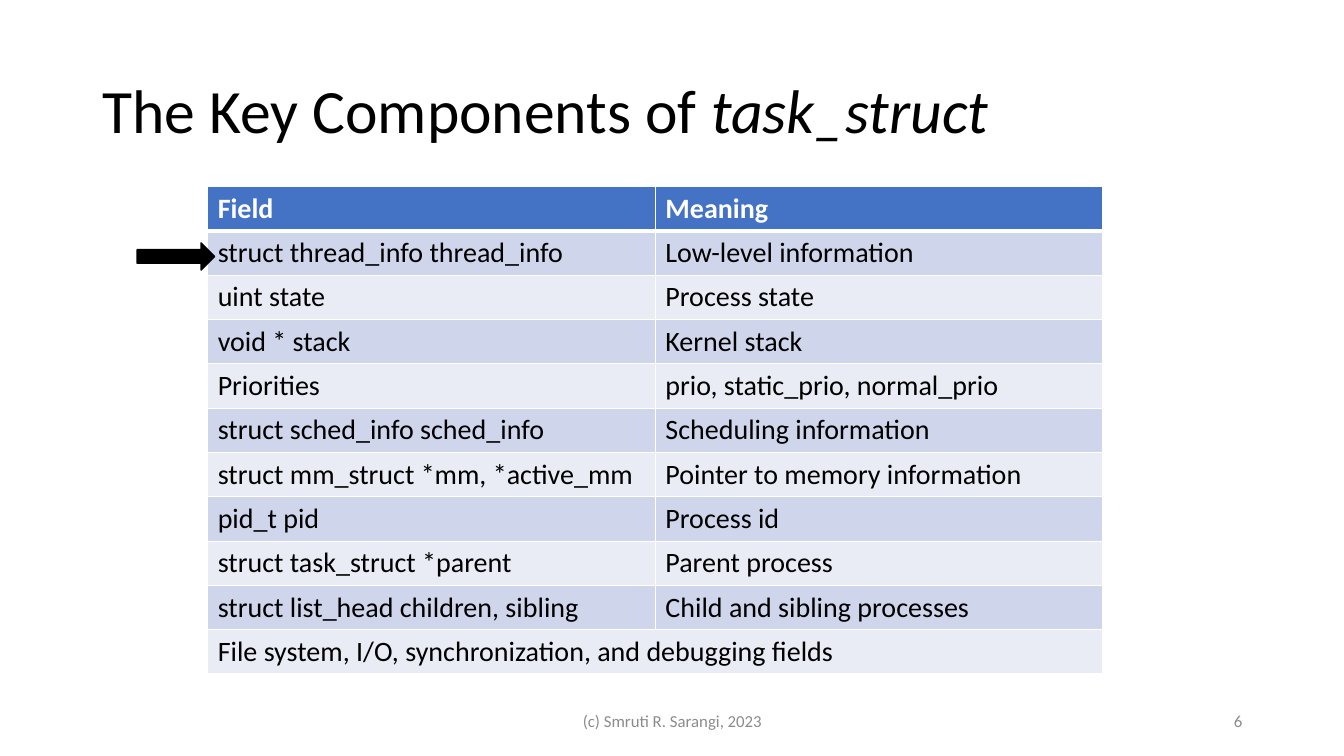
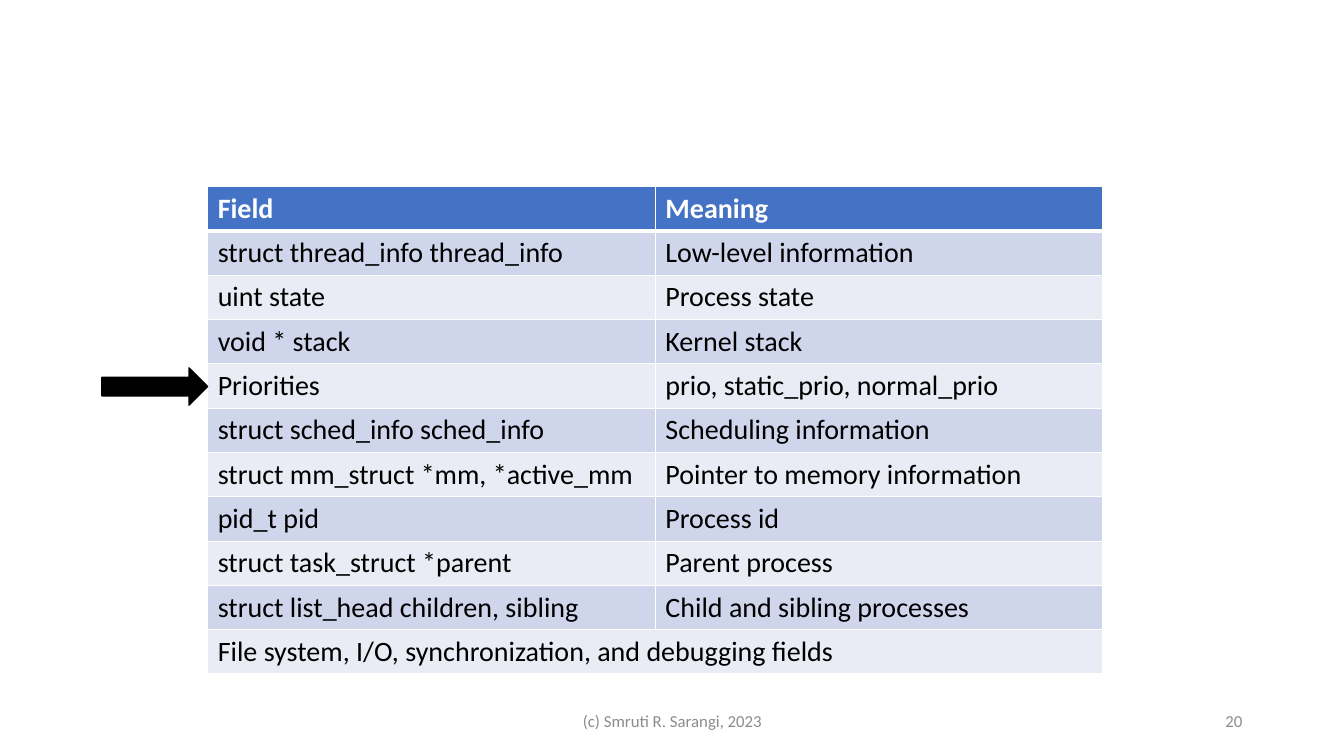
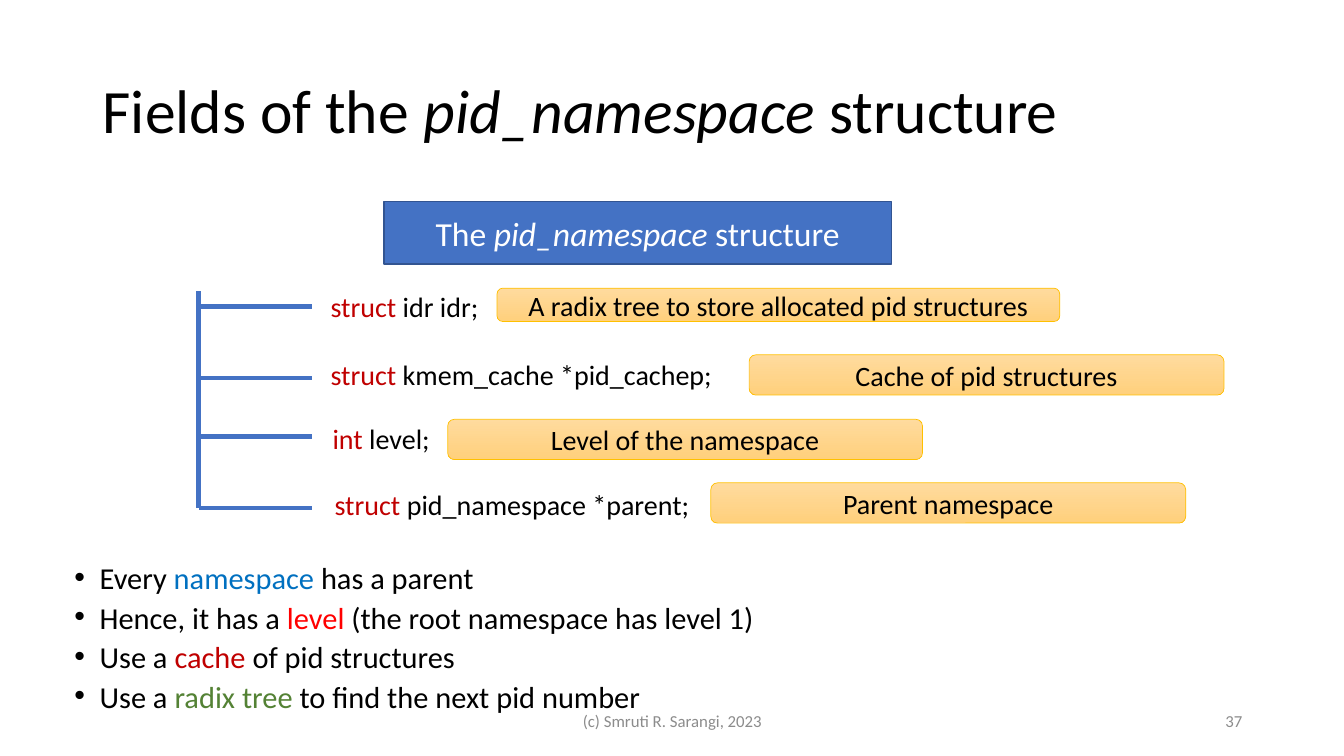
from dataclasses import dataclass

from lxml.etree import SubElement
from pptx import Presentation
from pptx.dml.color import RGBColor
from pptx.enum.shapes import MSO_CONNECTOR, MSO_SHAPE
from pptx.enum.text import MSO_ANCHOR, MSO_AUTO_SIZE, PP_ALIGN
from pptx.oxml import parse_xml
from pptx.oxml.ns import nsdecls, qn
from pptx.util import Inches, Pt

FONT = "Calibri"
BLACK = RGBColor(0x00, 0x00, 0x00)
WHITE = RGBColor(0xFF, 0xFF, 0xFF)
GRAY = RGBColor(0x8C, 0x8C, 0x8C)
BLUE = RGBColor(0x44, 0x72, 0xC4)
DARK_BLUE = RGBColor(0x32, 0x54, 0x91)
BAND_DARK = RGBColor(0xCF, 0xD5, 0xEA)
BAND_LIGHT = RGBColor(0xE9, 0xEB, 0xF5)
NOTE_TOP = RGBColor(0xFF, 0xDB, 0x9E)
NOTE_BOTTOM = RGBColor(0xFF, 0xD0, 0x7C)
GOLD = RGBColor(0xFF, 0xC0, 0x00)
DARK_RED = RGBColor(0xC0, 0x00, 0x00)
RED = RGBColor(0xFF, 0x00, 0x00)
SKY = RGBColor(0x00, 0x70, 0xC0)
GREEN = RGBColor(0x54, 0x82, 0x35)

FOOTER = "(c) Smruti R. Sarangi, 2023"
ROW_HEIGHT = 0.44
TRUNK_X, BRANCH_END = 1.97, 3.09

TASK_FIELDS = [
    ("Field", "Meaning"),
    ("struct thread_info thread_info", "Low-level information"),
    ("uint state", "Process state"),
    ("void * stack", "Kernel stack"),
    ("Priorities", "prio, static_prio, normal_prio"),
    ("struct sched_info sched_info", "Scheduling information"),
    ("struct mm_struct *mm, *active_mm", "Pointer to memory information"),
    ("pid_t pid", "Process id"),
    ("struct task_struct *parent", "Parent process"),
    ("struct list_head children, sibling", "Child and sibling processes"),
    ("File system, I/O, synchronization, and debugging fields", ""),
]


@dataclass
class Span:
    text: str
    color: RGBColor = BLACK
    italic: bool = False
    bold: bool = False


NAMESPACE_FIELDS = [
    (3.04, (3.18, 2.82, 1.75, 0.44), "struct ", "idr idr;",
     (4.93, 2.86, 5.58, 0.33), "A radix tree to store allocated pid structures"),
    (3.75, (3.18, 3.5, 4.09, 0.44), "struct ", "kmem_cache *pid_cachep;",
     (7.43, 3.52, 4.71, 0.4), "Cache of pid structures"),
    (4.33, (3.2, 4.13, 1.24, 0.44), "int ", "level;",
     (4.44, 4.16, 4.71, 0.4), "Level of the namespace"),
    (5.04, (3.22, 4.79, 3.82, 0.44), "struct ", "pid_namespace *parent;",
     (7.05, 4.79, 4.71, 0.4), "Parent namespace"),
]

NAMESPACE_POINTS = [
    [Span("Every "), Span("namespace", SKY), Span(" has a parent")],
    [Span("Hence, it has a "), Span("level", RED), Span(" (the root namespace has level 1)")],
    [Span("Use a "), Span("cache", DARK_RED), Span(" of pid structures")],
    [Span("Use a "), Span("radix tree ", GREEN), Span("to find the next pid number")],
]


def inches(*lengths):
    return [Inches(length) for length in lengths]


def write(paragraph, spans, size, align=PP_ALIGN.LEFT):
    paragraph.alignment = align
    for span in spans:
        run = paragraph.add_run()
        run.text = span.text
        run.font.name = FONT
        run.font.size = Pt(size)
        run.font.color.rgb = span.color
        run.font.italic = span.italic
        run.font.bold = span.bold


def add_text(slide, box, spans, size, align=PP_ALIGN.LEFT, anchor=MSO_ANCHOR.MIDDLE):
    frame = slide.shapes.add_textbox(*inches(*box)).text_frame
    frame.word_wrap = True
    frame.vertical_anchor = anchor
    write(frame.paragraphs[0], spans, size, align)
    return frame


def add_title(slide, spans):
    frame = add_text(slide, (0.92, 0.4, 11.5, 1.45), spans, 44)
    frame.paragraphs[0].line_spacing = 0.9


def add_footer(slide, number):
    add_text(slide, (9.42, 6.95, 3, 0.4), [Span(str(number), GRAY)], 12, PP_ALIGN.RIGHT)
    add_text(slide, (4.42, 6.95, 4.5, 0.4), [Span(FOOTER, GRAY)], 12, PP_ALIGN.CENTER)


def add_block(slide, kind, box, line_color, line_width):
    block = slide.shapes.add_shape(kind, *inches(*box))
    block.shadow.inherit = False
    block.line.color.rgb = line_color
    block.line.width = Pt(line_width)
    return block


def label(block, spans, size):
    block.text_frame.word_wrap = True
    block.text_frame.vertical_anchor = MSO_ANCHOR.MIDDLE
    write(block.text_frame.paragraphs[0], spans, size, PP_ALIGN.CENTER)


def add_pointer(slide, box):
    pointer = add_block(slide, MSO_SHAPE.RIGHT_ARROW, box, BLACK, 1)
    pointer.fill.solid()
    pointer.fill.fore_color.rgb = BLACK


def add_note(slide, box, text):
    note = add_block(slide, MSO_SHAPE.ROUNDED_RECTANGLE, box, GOLD, 0.5)
    note.fill.gradient()
    note.fill.gradient_angle = 270
    for stop, color in zip(note.fill.gradient_stops, (NOTE_TOP, NOTE_BOTTOM)):
        stop.color.rgb = color
    label(note, [Span(text)], 20)


def add_line(slide, *ends):
    line = slide.shapes.add_connector(MSO_CONNECTOR.STRAIGHT, *inches(*ends))
    line.line.color.rgb = BLUE
    line.line.width = Pt(3)
    SubElement(line.element.spPr, qn("a:effectLst"))


def set_borders(cell, top, bottom):
    widths = {"lnL": 1, "lnR": 1, "lnT": top, "lnB": bottom}
    properties = cell._tc.get_or_add_tcPr()
    for position, (side, width) in enumerate(widths.items()):
        properties.insert(position, parse_xml(
            f'<a:{side} {nsdecls("a")} w="{Pt(width)}"><a:solidFill>'
            f'<a:srgbClr val="{WHITE}"/></a:solidFill></a:{side}>'))


def add_task_table(slide):
    count = len(TASK_FIELDS)
    box = (2.06, 1.85, 8.88, ROW_HEIGHT * count)
    table = slide.shapes.add_table(count, 2, *inches(*box)).table
    for index, texts in enumerate(TASK_FIELDS):
        header = index == 0
        band = BLUE if header else BAND_DARK if index % 2 else BAND_LIGHT
        for column, text in enumerate(texts):
            cell = table.cell(index, column)
            cell.fill.solid()
            cell.fill.fore_color.rgb = band
            set_borders(cell, 3 if index == 1 else 1, 3 if header else 1)
            if text:
                span = Span(text, WHITE if header else BLACK, bold=header)
                write(cell.text_frame.paragraphs[0], [span], 20)
    table.cell(count - 1, 0).merge(table.cell(count - 1, 1))


def add_bullets(slide, box, points):
    frame = add_text(slide, box, points[0], 21.7, anchor=MSO_ANCHOR.TOP)
    for point in points[1:]:
        write(frame.add_paragraph(), point, 21.7)
    for paragraph in frame.paragraphs:
        paragraph.line_spacing = 0.7
        paragraph.space_before = Pt(10)
        properties = paragraph._p.get_or_add_pPr()
        properties.set("marL", str(Inches(0.25)))
        properties.set("indent", str(-Inches(0.25)))
        SubElement(properties, qn("a:buFont"), typeface="Arial")
        SubElement(properties, qn("a:buChar"), char="•")


def add_namespace_fields(slide):
    add_line(slide, TRUNK_X, 2.89, TRUNK_X, 5.04)
    for y, field_box, keyword, declaration, note_box, meaning in NAMESPACE_FIELDS:
        add_line(slide, TRUNK_X, y, BRANCH_END, y)
        spans = [Span(keyword, DARK_RED), Span(declaration)]
        frame = add_text(slide, field_box, spans, 20, anchor=MSO_ANCHOR.TOP)
        frame.word_wrap = False
        frame.auto_size = MSO_AUTO_SIZE.SHAPE_TO_FIT_TEXT
        add_note(slide, note_box, meaning)


def add_namespace_heading(slide):
    heading = add_block(slide, MSO_SHAPE.RECTANGLE, (3.81, 2, 5.03, 0.62), DARK_BLUE, 1)
    heading.fill.solid()
    heading.fill.fore_color.rgb = BLUE
    label(heading, [Span("The ", WHITE), Span("pid_namespace ", WHITE, italic=True),
                    Span("structure", WHITE)], 24)


def main():
    deck = Presentation()
    deck.slide_width, deck.slide_height = inches(13.33, 7.5)
    components, priorities, namespace = [
        deck.slides.add_slide(deck.slide_layouts[6]) for _ in range(3)]

    add_title(components, [Span("The Key Components of "), Span("task_struct", italic=True)])
    for slide, pointer_box in ((components, (1.36, 2.41, 0.77, 0.27)),
                               (priorities, (1.01, 3.65, 1.05, 0.37))):
        add_task_table(slide)
        add_pointer(slide, pointer_box)

    add_title(namespace, [Span("Fields of the "), Span("pid_namespace ", italic=True),
                          Span("structure")])
    add_bullets(namespace, (0.64, 5.6, 11.5, 1.61), NAMESPACE_POINTS)
    add_namespace_heading(namespace)
    add_namespace_fields(namespace)

    for slide, number in ((components, 6), (priorities, 20), (namespace, 37)):
        add_footer(slide, number)
    deck.save("out.pptx")


if __name__ == "__main__":
    main()
